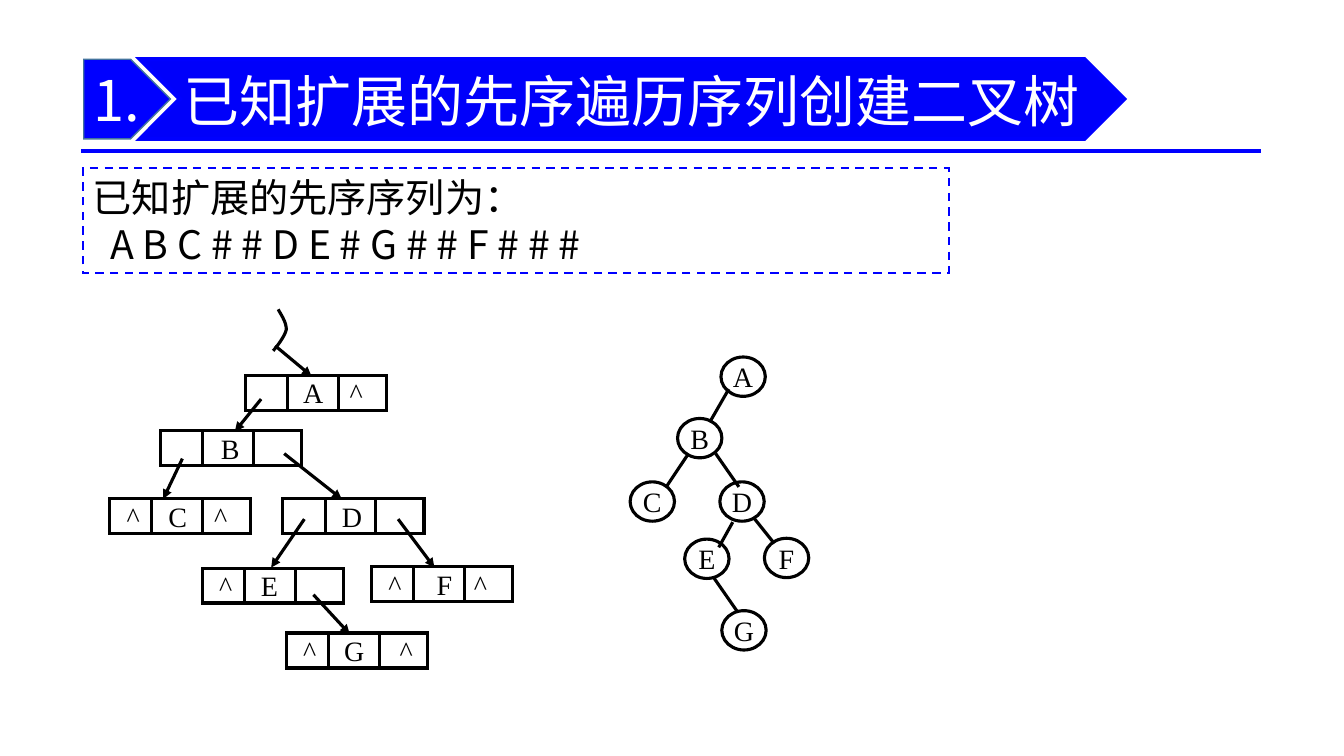
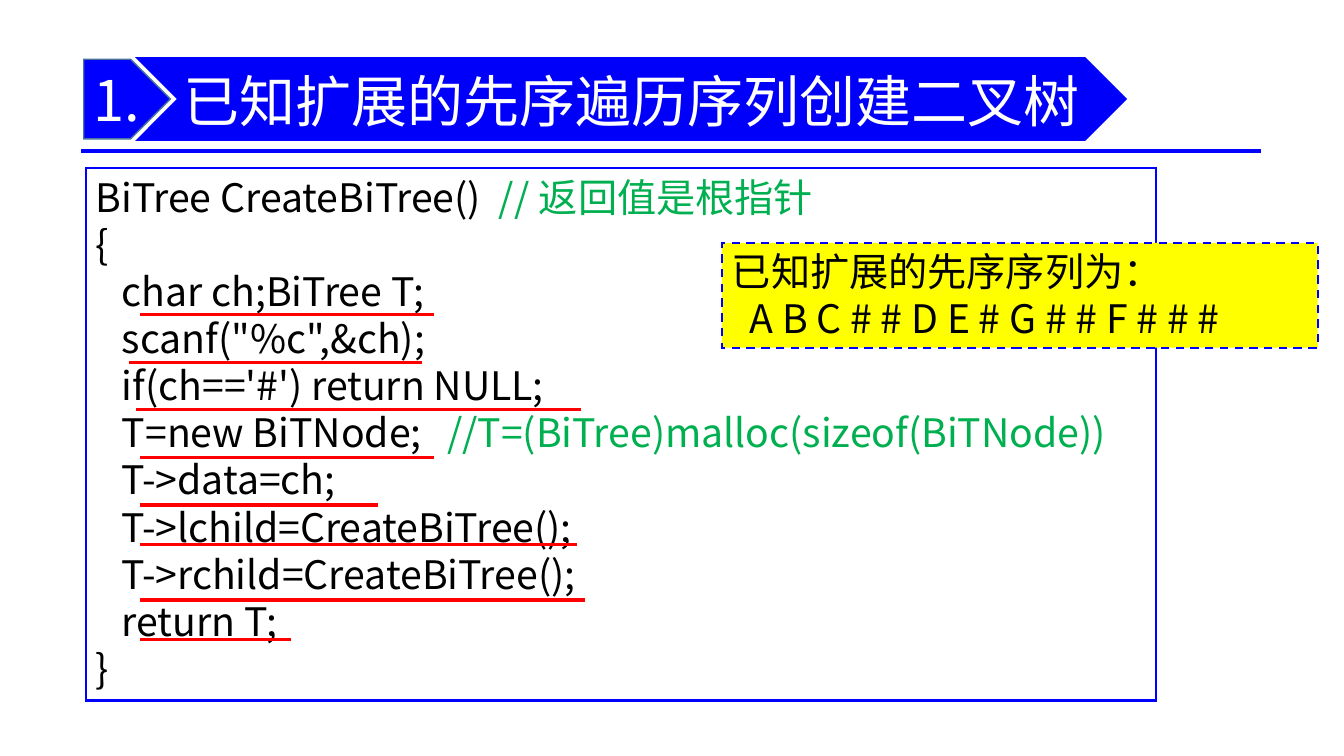
from dataclasses import dataclass

from lxml.etree import SubElement
from pptx import Presentation
from pptx.dml.color import RGBColor
from pptx.enum.dml import MSO_LINE
from pptx.enum.shapes import MSO_CONNECTOR, MSO_SHAPE
from pptx.enum.text import MSO_ANCHOR, MSO_AUTO_SIZE, PP_ALIGN
from pptx.oxml.ns import qn
from pptx.util import Pt

BLUE = RGBColor(0x00, 0x00, 0xFF)
BANNER_BLUE = RGBColor(0x00, 0x00, 0xFA)
TAG_EDGE = RGBColor(0x43, 0x73, 0x9E)
BLACK = RGBColor(0x00, 0x00, 0x00)
WHITE = RGBColor(0xFF, 0xFF, 0xFF)
YELLOW = RGBColor(0xFF, 0xFF, 0x00)
GREEN = RGBColor(0x00, 0xB0, 0x50)
RED = RGBColor(0xFF, 0x00, 0x00)

SANS = "Noto Sans CJK SC"
TITLE_FONT = {"name": SANS, "size": Pt(40), "bold": False}
BODY_FONT = {"name": SANS, "size": Pt(28)}
NODE_FONT = {"name": "Times New Roman", "size": Pt(20)}
NO_MARGINS = {"margin_left": 0, "margin_right": 0, "margin_top": 0, "margin_bottom": 0}
CIRCLE_FRAME = {"word_wrap": False, "vertical_anchor": MSO_ANCHOR.MIDDLE} | NO_MARGINS
RECORD_FRAME = {"word_wrap": True, "vertical_anchor": MSO_ANCHOR.MIDDLE} | NO_MARGINS
BODY_FRAME = {"word_wrap": True, "vertical_anchor": MSO_ANCHOR.TOP,
              "auto_size": MSO_AUTO_SIZE.NONE, "margin_left": Pt(7.2),
              "margin_right": Pt(7.2), "margin_top": Pt(3.4), "margin_bottom": 0}
TITLE_FRAME = {"word_wrap": True, "vertical_anchor": MSO_ANCHOR.MIDDLE,
               "auto_size": MSO_AUTO_SIZE.NONE, "margin_left": Pt(2.9),
               "margin_right": 0, "margin_top": Pt(1.4), "margin_bottom": Pt(1.4)}
TAG_FRAME = {"word_wrap": True, "vertical_anchor": MSO_ANCHOR.MIDDLE}
BODY_PITCH = Pt(33.65)
RECORD = (100.8, 25)
DIVIDERS = (30.2, 66.4)
LEFT_STOP = 16.8
CIRCLE = (31.7, 28.1)
INK = 2.25


@dataclass(frozen=True)
class Node:
    key: str
    x: float
    y: float
    left: str = ""
    right: str = ""
    key_stop: float = 48.6
    right_stop: float = 79.3


@dataclass(frozen=True)
class Edge:
    x1: float
    y1: float
    x2: float
    y2: float


@dataclass(frozen=True)
class Line:
    text: str
    comment: str = ""
    stops: tuple[float, ...] = (18.8,)


RECORDS = (
    Node("A", 175.2, 268, right="^"), Node("B", 114.5, 307.4, key_stop=50),
    Node("C", 78.3, 356.2, "^", "^"), Node("D", 202.1, 356.2, key_stop=49.3),
    Node("E", 144.5, 405.8, left="^", key_stop=47.9),
    Node("F", 265.4, 404.6, "^", "^", 52.1, 77.9),
    Node("G", 204.5, 452.2, "^", "^", right_stop=85.7),
)
POINTERS = (
    Edge(196.6, 247, 222.5, 268.6), Edge(186.5, 285.1, 167.8, 308.2),
    Edge(130.3, 327.6, 116.6, 356.4), Edge(203, 324, 244.1, 356.4),
    Edge(217.4, 370.8, 193.7, 405.4), Edge(284.4, 370.8, 310.3, 405.4),
    Edge(223.9, 424.8, 249.8, 452.9),
)
CIRCLES = (
    Node("A", 515, 255), Node("B", 484, 298.9), Node("C", 450.1, 344.2),
    Node("D", 514.2, 344.2), Node("E", 489.1, 385.1), Node("F", 546, 384.5),
    Node("G", 515.6, 436.2),
)
BRANCHES = (
    Edge(520.6, 277.9, 506.9, 301.7), Edge(491.8, 324, 475.9, 347.8),
    Edge(511.2, 324, 527.8, 347.8), Edge(523.4, 373, 513.4, 391),
    Edge(538.6, 370.1, 553, 388.1), Edge(509.8, 412.6, 526.3, 436.3),
)
ROOT_CURVE = (
    ((198.7, 221), (201.6, 226.1), (204.5, 230.4), (204.5, 235.4)),
    ((204.5, 235.4), (203.8, 239.8), (197.3, 248.4), (195.1, 250.6)),
)
SEQUENCE = (
    Line("已知扩展的先序序列为："),
    Line("\tA B C # # D E # G # # F # # #", stops=(12.6,)),
)
CODE = (
    Line("BiTree CreateBiTree()\t", "//返回值是根指针", (288,)),
    Line("{"),
    Line("\tchar ch;BiTree T;"),
    Line("\tscanf(\"%c\",&ch);"),
    Line("\tif(ch=='#') return NULL;"),
    Line("\tT=new BiTNode;\t", "//T=(BiTree)malloc(sizeof(BiTNode))", (18.8, 251)),
    Line("\tT->data=ch;"),
    Line("\tT->lchild=CreateBiTree();"),
    Line("\tT->rchild=CreateBiTree();"),
    Line("\treturn T;"),
    Line("}"),
)
UNDERLINES = (
    (100.1, 309.8, 224.6), (92.2, 301.7, 258.7), (97.2, 414.7, 292.3),
    (100.1, 309.8, 326.9), (100.1, 270, 360.7), (100.1, 412, 388.8),
    (100.1, 417.6, 428.6), (100.1, 208.1, 456.9),
)


def apply(target: object, values: dict) -> None:
    for name, value in values.items():
        setattr(target, name, value)


def add_run(p, text: str, font: dict, color: RGBColor) -> None:
    r = p.add_run()
    r.text = text
    apply(r.font, font)
    r.font.color.rgb = color
    SubElement(r.font._element, qn("a:ea"), typeface=font["name"])


def add_stops(p, stops: tuple[float, ...], align: str) -> None:
    tabs = SubElement(p._p.get_or_add_pPr(), qn("a:tabLst"))
    for stop in stops:
        SubElement(tabs, qn("a:tab"), pos=str(Pt(stop)), algn=align)


def put_text(sp, text: str, font: dict, color: RGBColor, frame: dict, align=PP_ALIGN.LEFT):
    tf = sp.text_frame
    apply(tf, frame)
    p = tf.paragraphs[0]
    p.alignment = align
    add_run(p, text, font, color)
    return p


def add_box(s, kind, x: float, y: float, w: float, h: float, fill: RGBColor | None,
            edge: RGBColor, width: float):
    sp = s.shapes.add_shape(kind, Pt(x), Pt(y), Pt(w), Pt(h))
    sp.shadow.inherit = False
    if fill is None:
        sp.fill.background()
    else:
        sp.fill.solid()
        sp.fill.fore_color.rgb = fill
    sp.line.color.rgb = edge
    sp.line.width = Pt(width)
    SubElement(sp.element.spPr.find(qn("a:ln")), qn("a:miter"), lim="800000")
    return sp


def add_line(s, e: Edge, color: RGBColor, width: float, arrow: bool = False):
    c = s.shapes.add_connector(MSO_CONNECTOR.STRAIGHT, Pt(e.x1), Pt(e.y1), Pt(e.x2), Pt(e.y2))
    c.line.color.rgb = color
    c.line.width = Pt(width)
    sp_pr = c.element.spPr
    if arrow:
        SubElement(sp_pr.find(qn("a:ln")), qn("a:tailEnd"), type="triangle")
    SubElement(sp_pr, qn("a:effectLst"))
    return c


def add_panel(s, x: float, y: float, w: float, h: float, lines: tuple[Line, ...],
              fill: RGBColor = WHITE, dashed: bool = False) -> None:
    sp = add_box(s, MSO_SHAPE.RECTANGLE, x, y, w, h, fill, BLUE, 1.5)
    if dashed:
        sp.line.dash_style = MSO_LINE.DASH
    tf = sp.text_frame
    apply(tf, BODY_FRAME)
    for i, line in enumerate(lines):
        p = tf.add_paragraph() if i else tf.paragraphs[0]
        apply(p, {"alignment": PP_ALIGN.LEFT, "line_spacing": BODY_PITCH})
        add_stops(p, line.stops, "l")
        add_run(p, line.text, BODY_FONT, BLACK)
        if line.comment:
            add_run(p, line.comment, BODY_FONT, GREEN)


def add_titled_slide(prs, layout):
    s = prs.slides.add_slide(layout)
    tag = add_box(s, MSO_SHAPE.PENTAGON, 59.8, 42.3, 61.9, 56.9, BLUE, TAG_EDGE, 1)
    put_text(tag, "1.", TITLE_FONT, WHITE, TAG_FRAME)
    add_box(s, MSO_SHAPE.CHEVRON, 100.1, 42.3, 702.9, 56.9, BANNER_BLUE, BLUE, 3)
    title = s.shapes.title
    apply(title, {"left": Pt(128.5), "top": Pt(32.9), "width": Pt(658.1), "height": Pt(77.8)})
    put_text(title, "已知扩展的先序遍历序列创建二叉树", TITLE_FONT, WHITE, TITLE_FRAME)
    s.shapes.element.append(title.element)
    return s


def add_rule(s, layout) -> None:
    rule = add_line(s, Edge(58, 108, 900.7, 108), BLUE, 3)
    layout.shapes.element.append(rule.element)


def add_record(s, node: Node) -> None:
    w, h = RECORD
    sp = add_box(s, MSO_SHAPE.RECTANGLE, node.x, node.y, w, h, None, BLACK, INK)
    fields = ((node.left, LEFT_STOP), (node.key, node.key_stop), (node.right, node.right_stop))
    shown = [(text, stop) for text, stop in fields if text]
    text = "".join(f"\t{text}" for text, _ in shown)
    p = put_text(sp, text, NODE_FONT, BLACK, RECORD_FRAME)
    add_stops(p, tuple(stop for _, stop in shown), "ctr")
    for dx in DIVIDERS:
        x = node.x + dx
        add_line(s, Edge(x, node.y, x, node.y + h), BLACK, INK)


def add_circle(s, node: Node) -> None:
    sp = add_box(s, MSO_SHAPE.OVAL, node.x, node.y, *CIRCLE, None, BLACK, INK)
    put_text(sp, node.key, NODE_FONT, BLACK, CIRCLE_FRAME, PP_ALIGN.CENTER)


def bezier(points: tuple, t: float) -> tuple[int, int]:
    u = 1 - t
    weights = (u ** 3, 3 * u * u * t, 3 * u * t * t, t ** 3)
    x, y = (sum(w * pt[axis] for w, pt in zip(weights, points)) for axis in (0, 1))
    return Pt(x), Pt(y)


def add_root_curve(s) -> None:
    steps = 10
    pts = [bezier(part, i / steps) for part in ROOT_CURVE for i in range(steps + 1)]
    fb = s.shapes.build_freeform(*pts[0])
    fb.add_line_segments(pts[1:], close=False)
    sp = fb.convert_to_shape()
    sp.shadow.inherit = False
    sp.fill.background()
    sp.line.color.rgb = BLACK
    sp.line.width = Pt(INK)


def build_tree_slide(s) -> None:
    add_panel(s, 59.2, 120.2, 618.5, 74.9, SEQUENCE, dashed=True)
    for node in CIRCLES:
        add_circle(s, node)
    for edge in BRANCHES:
        add_line(s, edge, BLACK, INK)
    for node in RECORDS:
        add_record(s, node)
    add_root_curve(s)
    for edge in POINTERS:
        add_line(s, edge, BLACK, INK, arrow=True)


def build_code_slide(s) -> None:
    add_panel(s, 61.2, 120.2, 764.6, 380.2, CODE)
    for x1, x2, y in UNDERLINES:
        add_line(s, Edge(x1, y, x2, y), RED, INK)
    add_panel(s, 515.7, 173.5, 425.5, 74.9, SEQUENCE, YELLOW, dashed=True)


def main() -> None:
    prs = Presentation()
    apply(prs, {"slide_width": Pt(960), "slide_height": Pt(540)})
    layout = prs.slide_layouts[5]
    tree = add_titled_slide(prs, layout)
    add_rule(tree, layout)
    build_tree_slide(tree)
    build_code_slide(add_titled_slide(prs, layout))
    prs.save("out.pptx")


if __name__ == "__main__":
    main()
